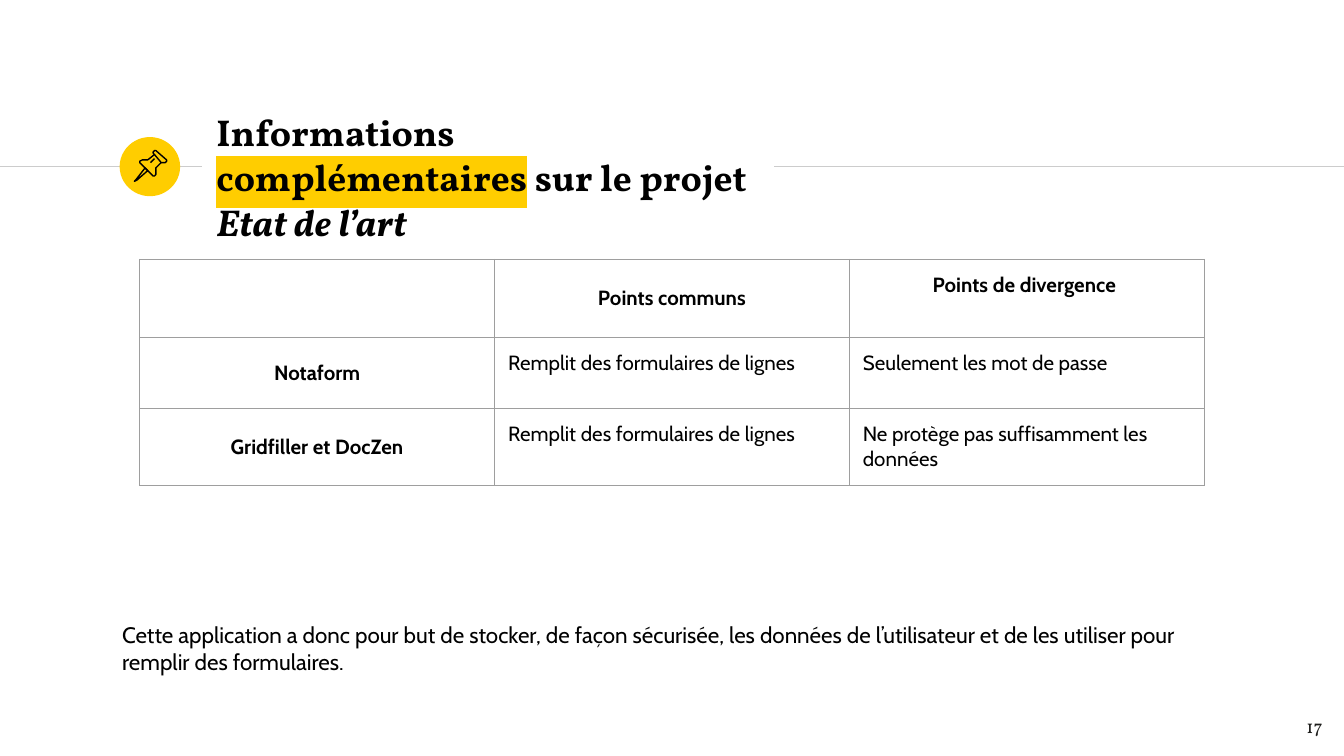
from lxml.etree import SubElement
from pptx import Presentation
from pptx.dml.color import RGBColor
from pptx.enum.shapes import MSO_CONNECTOR, MSO_SHAPE
from pptx.enum.text import MSO_ANCHOR as Anchor, MSO_AUTO_SIZE as AutoSize, PP_ALIGN as Align
from pptx.oxml import parse_xml
from pptx.oxml.ns import nsdecls, qn
from pptx.util import Inches, Pt

BLACK = RGBColor(0x00, 0x00, 0x00)
INK = RGBColor(0x1D, 0x1D, 0x1B)
YELLOW = RGBColor(0xFF, 0xCD, 0x00)
RULE_GREY = RGBColor(0xCC, 0xCC, 0xCC)
BORDER_GREY = RGBColor(0x9E, 0x9E, 0x9E)

SERIF, SANS = "Vollkorn", "Cabin"
HAIRLINE = Pt(0.75)
MARGIN = Inches(0.1)
RULE_Y = 1.24

TABLE_ROWS = [
    ["", "Points communs", "Points de divergence "],
    ["Notaform", "Remplit des formulaires de lignes", "Seulement les mot de passe"],
    ["Gridfiller et DocZen", "Remplit des formulaires de lignes",
     "Ne protège pas suffisamment les données"],
]
COLUMN_WIDTH = 2.64
ROW_HEIGHTS = [0.58, 0.53, 0.57]

# Pin outlines in hundredths of an inch: (points, closed)
PIN_PARTS = [
    ([(108, 125), (101, 134), (100, 135), (102, 134), (110, 127)], True),
    ([(115, 115), (120, 121), (121, 121), (123, 121), (124, 120), (124, 119),
      (116, 112), (115, 112), (114, 113), (114, 114)], True),
    ([(115, 115), (110, 119), (108, 119), (106, 119), (104, 120), (104, 121),
      (114, 131), (115, 131), (116, 130), (116, 128), (116, 125), (120, 121)], False),
    ([(112, 121), (115, 118)], False),
]


def style_font(font, name, size, color=BLACK, bold=False):
    font.name = name
    font.size = Pt(size)
    font.color.rgb = color
    font.bold = bold


def set_margins(target):
    """Give a text frame or a table cell equal margins."""
    target.margin_left = target.margin_right = MARGIN
    target.margin_top = target.margin_bottom = MARGIN


def highlight(span, color):
    mark = SubElement(span.font._element, qn("a:highlight"))
    SubElement(mark, qn("a:srgbClr"), val=str(color))


def add_rule(slide, start, end):
    rule = slide.shapes.add_connector(
        MSO_CONNECTOR.STRAIGHT, Inches(start), Inches(RULE_Y), Inches(end), Inches(RULE_Y))
    rule.line.color.rgb = RULE_GREY
    rule.line.width = HAIRLINE
    SubElement(rule._element.spPr, qn("a:effectLst"))


def add_badge(slide):
    badge = slide.shapes.add_shape(
        MSO_SHAPE.OVAL, Inches(0.89), Inches(1.02), Inches(0.45), Inches(0.44))
    badge.shadow.inherit = False
    badge.fill.solid()
    badge.fill.fore_color.rgb = YELLOW
    badge.line.fill.background()


def add_pin(slide):
    pin = slide.shapes.add_group_shape()
    for points, closed in PIN_PARTS:
        builder = pin.shapes.build_freeform(*points[0], scale=Inches(0.01))
        builder.add_line_segments(points[1:], close=closed)
        part = builder.convert_to_shape()
        part.shadow.inherit = False
        part.fill.background()
        part.line.color.rgb = BLACK
        part.line.width = HAIRLINE


def fill_title(title):
    title.left, title.top = Inches(1.51), Inches(0.84)
    title.width, title.height = Inches(4.24), Inches(0.95)
    frame = title.text_frame
    frame.auto_size = AutoSize.NONE
    frame.word_wrap = True
    frame.vertical_anchor = Anchor.MIDDLE
    set_margins(frame)
    heading, subheading = frame.paragraphs[0], frame.add_paragraph()
    for para in (heading, subheading):
        para.alignment = Align.LEFT
        para.line_spacing = 1.0
        style_font(para.font, SERIF, 20, bold=True)
    for text in ("Informations ", "complémentaires", " sur le projet"):
        heading.add_run().text = text
    highlight(heading.runs[1], YELLOW)
    subheading.add_run().text = "Etat de l’art"
    subheading.font.italic = True


def add_text(slide, text, left, top, width, height, name, size, color,
             align=Align.LEFT, anchor=Anchor.TOP):
    box = slide.shapes.add_textbox(Inches(left), Inches(top), Inches(width), Inches(height))
    frame = box.text_frame
    frame.word_wrap = True
    frame.vertical_anchor = anchor
    set_margins(frame)
    para = frame.paragraphs[0]
    para.text = text
    para.alignment = align
    style_font(para.font, name, size, color)


def set_borders(cell):
    properties = cell._tc.get_or_add_tcPr()
    for index, side in enumerate(("lnL", "lnR", "lnT", "lnB")):
        properties.insert(index, parse_xml(
            f'<a:{side} {nsdecls("a")} w="{HAIRLINE}"><a:solidFill>'
            f'<a:srgbClr val="{BORDER_GREY}"/></a:solidFill></a:{side}>'))


def add_comparison_table(slide):
    columns = len(TABLE_ROWS[0])
    table = slide.shapes.add_table(
        len(TABLE_ROWS), columns, Inches(1.04), Inches(1.93),
        Inches(COLUMN_WIDTH * columns), Inches(sum(ROW_HEIGHTS))).table
    table.first_row = table.horz_banding = False
    for column in table.columns:
        column.width = Inches(COLUMN_WIDTH)
    for r, (texts, height) in enumerate(zip(TABLE_ROWS, ROW_HEIGHTS)):
        table.rows[r].height = Inches(height)
        for c, text in enumerate(texts):
            cell = table.cell(r, c)
            is_header = r == 0 or c == 0
            is_centred = c == 0 or (r, c) == (0, 1)
            cell.fill.background()
            set_borders(cell)
            set_margins(cell)
            cell.vertical_anchor = Anchor.MIDDLE if is_centred else Anchor.TOP
            para = cell.text_frame.paragraphs[0]
            para.text = text
            para.alignment = Align.CENTER if is_header else Align.LEFT
            style_font(para.font, SANS, 11, bold=is_header)


def main():
    deck = Presentation()
    deck.slide_width = Inches(10)
    deck.slide_height = deck.slide_width * 9 // 16
    slide = deck.slides.add_slide(deck.slide_layouts[5])
    fill_title(slide.shapes.title)
    add_rule(slide, 0, 1.5)
    add_rule(slide, 5.76, 10)
    add_badge(slide)
    add_pin(slide)
    add_comparison_table(slide)
    add_text(slide, "Cette application a donc pour but de stocker, de façon sécurisée, "
             "les données de l’utilisateur et de les utiliser pour remplir des formulaires.",
             0.81, 4.52, 8.15, 0.61, SANS, 12, BLACK)
    add_text(slide, "17", 9.34, 5.19, 0.6, 0.43, SERIF, 10, INK, Align.RIGHT, Anchor.MIDDLE)
    deck.save("out.pptx")


if __name__ == "__main__":
    main()
